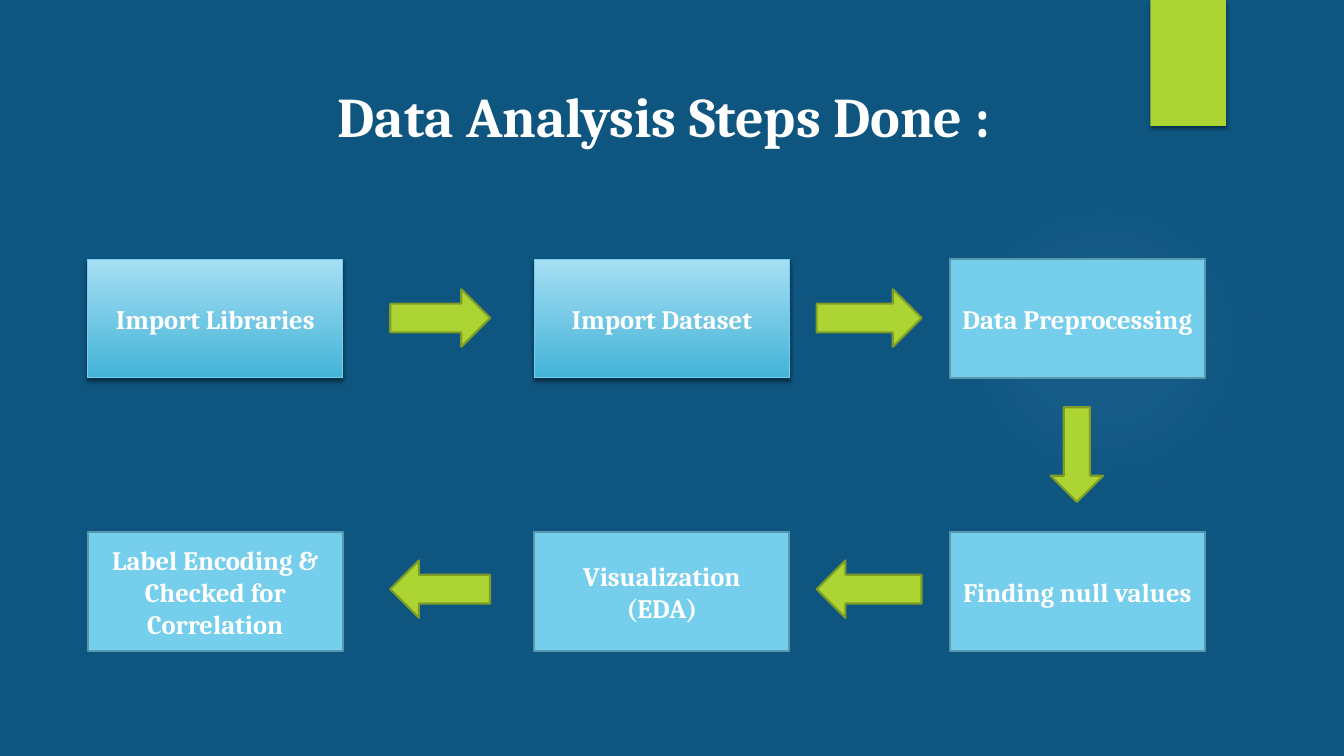
import pptx
import pptx.util
import pptx.dml.color
import pptx.enum.shapes
import pptx.enum.text
import pptx.oxml
import pptx.oxml.ns

Inches = pptx.util.Inches
Pt = pptx.util.Pt
SHAPE = pptx.enum.shapes.MSO_SHAPE
qn = pptx.oxml.ns.qn
NS = pptx.oxml.ns.nsdecls("a")

THEME = {
    "background": "0E5580", "accent": "ACD433", "accent_line": "7F9D26",
    "box": "75CEEC", "box_line": "5798AF", "gradient": ("A6DFF3", "43B3D8"),
    "glow": "7AC4F0", "text": "FFFFFF", "font": "Cambria",
    "title_size": 40, "box_size": 19,
}


def add_block(kind, at, fill=None, line=None, width=1.5, shadow=False):
    sp = s.shapes.add_shape(kind, *map(Inches, at))
    sp.shadow.inherit = False
    if fill:
        sp.fill.solid()
        sp.fill.fore_color.rgb = pptx.dml.color.RGBColor.from_string(fill)
    if line:
        sp.line.color.rgb = pptx.dml.color.RGBColor.from_string(line)
        sp.line.width = Pt(width)
    else:
        sp.line.fill.background()
    if shadow:
        sp._element.spPr.find(qn("a:effectLst")).append(pptx.oxml.parse_xml(
            f'<a:outerShdw {NS} blurRad="{Pt(3)}" dist="{Pt(2)}" dir="5400000" rotWithShape="0">'
            '<a:srgbClr val="000000"><a:alpha val="45000"/></a:srgbClr></a:outerShdw>'))
    return sp


def add_text(tf, lines, size, align):
    tf.word_wrap = True
    for i, line in enumerate(lines):
        p = tf.paragraphs[0] if i == 0 else tf.add_paragraph()
        p.alignment = align
        r = p.add_run()
        r.text = line
        for name, value in {"name": THEME["font"], "size": Pt(size), "bold": True}.items():
            setattr(r.font, name, value)
        r.font.color.rgb = pptx.dml.color.RGBColor.from_string(THEME["text"])


prs = pptx.Presentation()
prs.slide_width, prs.slide_height = Inches(13.33), Inches(7.5)
s = prs.slides.add_slide(prs.slide_layouts[6])
s.background.fill.solid()
s.background.fill.fore_color.rgb = pptx.dml.color.RGBColor.from_string(THEME["background"])

glow = add_block(SHAPE.OVAL, (9.41, 1.83, 3.08, 3.08))
glow.fill.background()
stops = "".join(
    f'<a:gs pos="{pos * 1000}"><a:srgbClr val="{THEME["glow"]}">'
    f'<a:alpha val="{alpha * 1000}"/></a:srgbClr></a:gs>'
    for pos, alpha in ((0, 7), (36, 6), (69, 0), (100, 0)))
spPr = glow._element.spPr
spPr.replace(spPr.find(qn("a:noFill")), pptx.oxml.parse_xml(
    f'<a:gradFill {NS}><a:gsLst>{stops}</a:gsLst><a:path path="circle">'
    '<a:fillToRect l="50000" t="50000" r="50000" b="50000"/></a:path></a:gradFill>'))

add_block(SHAPE.RECTANGLE, (11.41, 0, 0.75, 1.25), THEME["accent"], shadow=True)

title = s.shapes.add_textbox(*map(Inches, (3.25, 0.76, 9.49, 0.77)))
add_text(title.text_frame, ["Data Analysis Steps Done :"], THEME["title_size"],
         pptx.enum.text.PP_ALIGN.LEFT)

columns = (0.87, 5.3, 9.42)
rows = (2.57, 5.28)
steps = (
    (0, 0, ["Import Libraries"], True),
    (1, 0, ["Import Dataset"], True),
    (2, 0, ["Data Preprocessing"], False),
    (2, 1, ["Finding null values"], False),
    (1, 1, ["Visualization", "(EDA)"], False),
    (0, 1, ["Label Encoding & Checked for Correlation"], False),
)
for col, row, lines, raised in steps:
    at = (columns[col], rows[row], 2.53, 1.18)
    if raised:
        box = add_block(SHAPE.RECTANGLE, at, line=THEME["box"], width=0.75, shadow=True)
        box.fill.gradient()
        box.fill.gradient_angle = 270
        for stop, position, color in zip(box.fill.gradient_stops, (0, 1), THEME["gradient"]):
            stop.position = position
            stop.color.rgb = pptx.dml.color.RGBColor.from_string(color)
    else:
        box = add_block(SHAPE.RECTANGLE, at, THEME["box"], THEME["box_line"])
    box.text_frame.vertical_anchor = pptx.enum.text.MSO_ANCHOR.MIDDLE
    add_text(box.text_frame, lines, THEME["box_size"], pptx.enum.text.PP_ALIGN.CENTER)

arrows = [(SHAPE.DOWN_ARROW, (10.42, 4.04, 0.52, 0.94))]
for kind, top in ((SHAPE.RIGHT_ARROW, 2.87), (SHAPE.LEFT_ARROW, 5.56)):
    for left, width in ((3.87, 0.99), (8.1, 1.04)):
        arrows.append((kind, (left, top, width, 0.57)))
for kind, at in arrows:
    add_block(kind, at, THEME["accent"], THEME["accent_line"])

prs.save("out.pptx")
